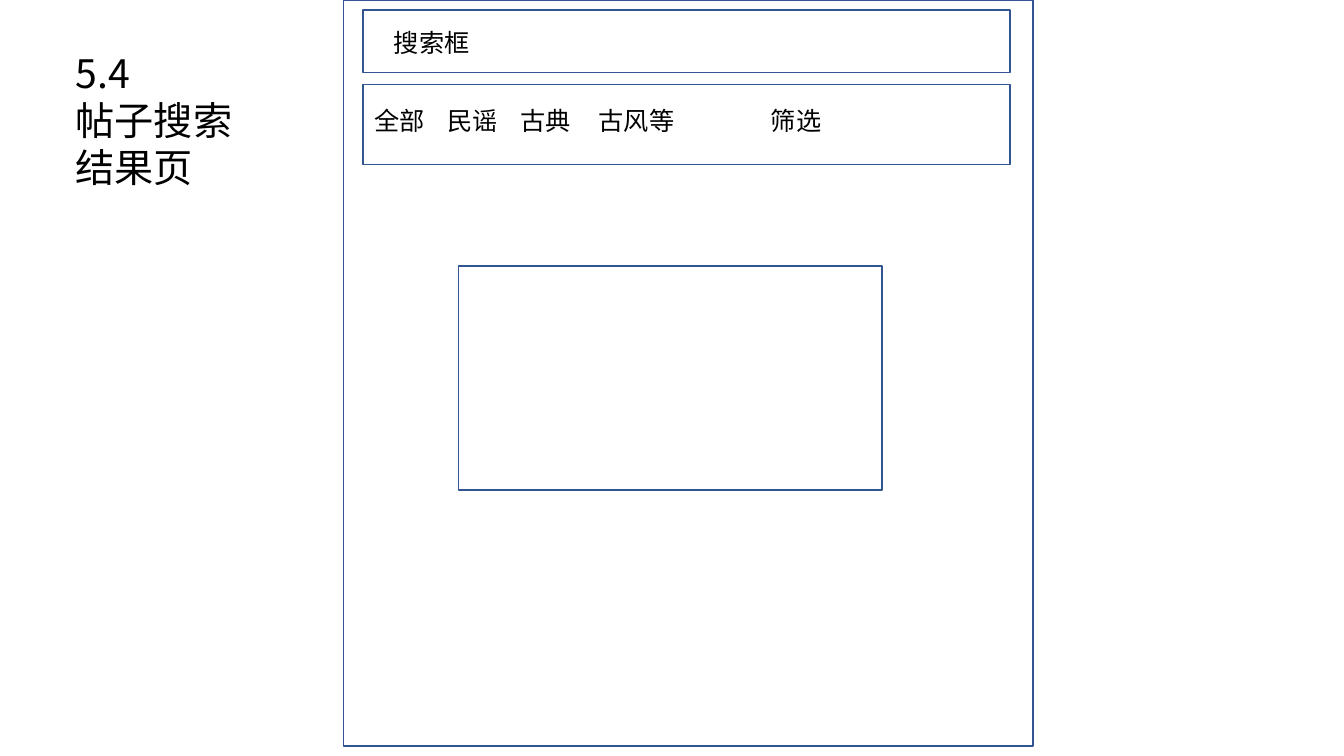
"""Build the wireframe slide for the post search results page."""
import pptx
import pptx.util
import pptx.dml.color
import pptx.enum.shapes
import pptx.enum.text
import pptx.oxml.ns
import lxml.etree

Pt = pptx.util.Pt
RGB = pptx.dml.color.RGBColor.from_string
TEXT = pptx.enum.text

THEME = {
    "font": "Noto Sans CJK SC", "ink": "000000", "paper": "FFFFFF",
    "outline": "325491", "line": 1, "title": 28, "body": 18, "leading": 1.2,
}
FRAME_FORMAT = {
    "word_wrap": True,
    "auto_size": TEXT.MSO_AUTO_SIZE.NONE,
    "vertical_anchor": TEXT.MSO_ANCHOR.TOP,
    "margin_left": Pt(7.2), "margin_right": Pt(7.2),
    "margin_top": Pt(3.6), "margin_bottom": Pt(3.6),
}

TITLE = ("5.4\n帖子搜索结果页", (46.8, 31.7, 128.2, 108.7))
CATEGORIES = ["全部", "民谣", "古典", "古风等", "筛选"]
CATEGORY_TABS = [52, 104, 160, 283]
PAGE = (245.5, 0, 492.5, 532.8)
SEARCH_BAR = (259.2, 7.2, 462.2, 44.6)
FILTER_BAR = (259.2, 60.5, 462.2, 56.9)
RESULT_CARD = (327.6, 190, 302.4, 160)
PANELS = [
    (PAGE, None),
    (SEARCH_BAR, ("搜索框", (274.3, 15.8, 320.4, 28.8), [])),
    (FILTER_BAR, ("\t".join(CATEGORIES), (260.6, 72, 442.8, 28.8), CATEGORY_TABS)),
    (RESULT_CARD, None),
]


def set_attrs(target, values):
    for name, value in values.items():
        setattr(target, name, value)


def write(sp, text, size, tabs=()):
    tf = sp.text_frame
    tf.text = text
    set_attrs(tf, FRAME_FORMAT)
    for p in tf.paragraphs:
        set_attrs(p, {"alignment": TEXT.PP_ALIGN.LEFT,
                      "line_spacing": Pt(size * THEME["leading"]),
                      "space_before": Pt(0), "space_after": Pt(0)})
        if tabs:
            tab_list = lxml.etree.SubElement(p._p.get_or_add_pPr(), pptx.oxml.ns.qn("a:tabLst"))
            for stop in tabs:
                lxml.etree.SubElement(tab_list, pptx.oxml.ns.qn("a:tab"),
                                      pos=str(int(Pt(stop))), algn="l")
        for r in p.runs:
            set_attrs(r.font, {"size": Pt(size), "name": THEME["font"], "bold": False})
            r.font.color.rgb = RGB(THEME["ink"])
            lxml.etree.SubElement(r._r.get_or_add_rPr(), pptx.oxml.ns.qn("a:ea"),
                                  typeface=THEME["font"])


def add_panel(slide, box):
    sp = slide.shapes.add_shape(pptx.enum.shapes.MSO_SHAPE.RECTANGLE, *map(Pt, box))
    sp.shadow.inherit = False
    sp.fill.solid()
    sp.fill.fore_color.rgb = RGB(THEME["paper"])
    sp.line.color.rgb = RGB(THEME["outline"])
    sp.line.width = Pt(THEME["line"])


prs = pptx.Presentation()
set_attrs(prs, {"slide_width": Pt(960), "slide_height": Pt(540)})
slide = prs.slides.add_slide(prs.slide_layouts[5])

title_text, title_box = TITLE
title = slide.shapes.title
set_attrs(title, dict(zip(("left", "top", "width", "height"), map(Pt, title_box))))
write(title, title_text, THEME["title"])

for box, label in PANELS:
    add_panel(slide, box)
    if label:
        text, text_box, tabs = label
        write(slide.shapes.add_textbox(*map(Pt, text_box)), text, THEME["body"], tabs)

prs.save("out.pptx")
